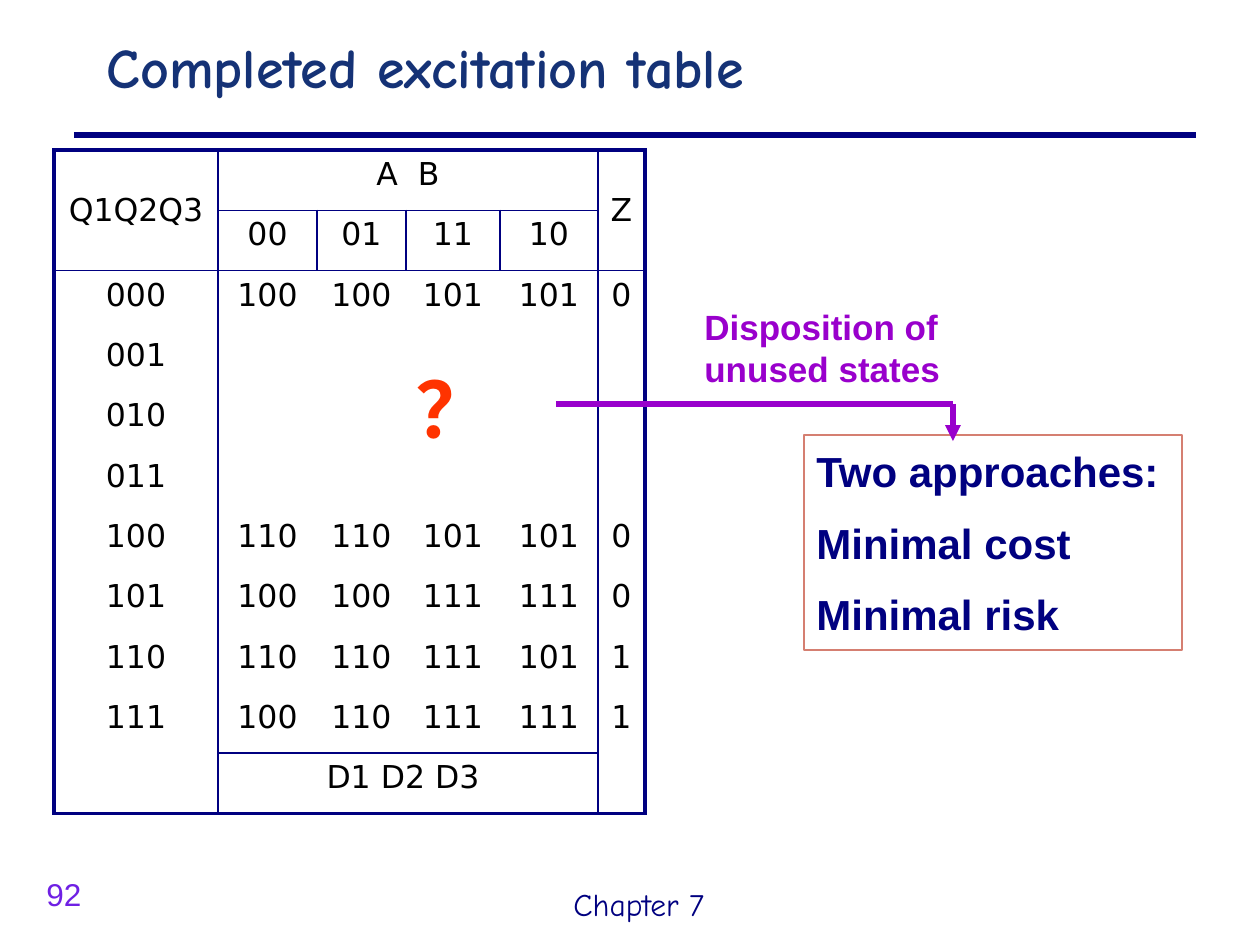
from dataclasses import dataclass

from lxml.etree import SubElement
from pptx import Presentation
from pptx.dml.color import RGBColor
from pptx.enum.shapes import MSO_CONNECTOR, MSO_SHAPE
from pptx.enum.text import MSO_ANCHOR, PP_ALIGN
from pptx.oxml import parse_xml
from pptx.oxml.ns import nsdecls, qn
from pptx.util import Inches, Pt

SCALE = Inches(10) / 1260


def px(length):
    return round(length * SCALE)


@dataclass(frozen=True)
class TextStyle:
    font: str
    size: int
    color: str
    bold: bool = False


@dataclass(frozen=True)
class Theme:
    navy: str = "000080"
    violet: str = "9900CC"
    box_line: str = "D57F71"
    thin: float = 1
    frame: float = 2.25
    thick: float = 3
    title: TextStyle = TextStyle("Comic Neue", 32, "153276", True)
    footer: TextStyle = TextStyle("Comic Neue", 18, "000080")
    number: TextStyle = TextStyle("Arial", 18, "6F20E4")
    cell: TextStyle = TextStyle("DejaVu Sans", 18, "000000")
    question: TextStyle = TextStyle("Times New Roman", 44, "FF3300", True)
    approaches: TextStyle = TextStyle("Arial", 24, "000080", True)
    note: TextStyle = TextStyle("Arial", 20, "9900CC", True)


class SlideBuilder:
    def __init__(self, slide, theme):
        self.slide = slide
        self.theme = theme

    def fill_text(self, frame, lines, style, align=PP_ALIGN.LEFT, anchor=MSO_ANCHOR.TOP, wrap=True):
        frame.word_wrap = wrap
        frame.vertical_anchor = anchor
        for index, line in enumerate(lines):
            paragraph = frame.add_paragraph() if index else frame.paragraphs[0]
            paragraph.alignment = align
            if index:
                paragraph.space_before = Pt(style.size / 2)
            self.add_run(paragraph, line, style)

    def add_run(self, paragraph, text, style):
        run = paragraph.add_run()
        run.text = text
        run.font.name = style.font
        run.font.size = Pt(style.size)
        run.font.bold = style.bold
        run.font.color.rgb = RGBColor.from_string(style.color)

    def title(self, text, *box):
        shape = self.slide.shapes.title
        shape.left, shape.top, shape.width, shape.height = map(px, box)
        self.fill_text(shape.text_frame, [text], self.theme.title)

    def text(self, text, style, *box, **layout):
        shape = self.slide.shapes.add_textbox(*map(px, box))
        self.fill_text(shape.text_frame, [text], style, **layout)

    def outlined_box(self, lines, style, *box):
        shape = self.slide.shapes.add_shape(MSO_SHAPE.RECTANGLE, *map(px, box))
        shape.shadow.inherit = False
        shape.fill.background()
        shape.line.color.rgb = RGBColor.from_string(self.theme.box_line)
        shape.line.width = Pt(0.75)
        self.fill_text(shape.text_frame, lines, style, anchor=MSO_ANCHOR.MIDDLE)

    def line(self, shapes, start, end, color, arrow=False):
        connector = shapes.add_connector(MSO_CONNECTOR.STRAIGHT, *map(px, start + end))
        connector.line.color.rgb = RGBColor.from_string(color)
        connector.line.width = Pt(self.theme.thick)
        properties = connector._element.spPr
        if arrow:
            SubElement(properties.find(qn("a:ln")), qn("a:tailEnd")).set("type", "triangle")
        SubElement(properties, qn("a:effectLst"))

    def bent_arrow(self, points, color):
        group = self.slide.shapes.add_group_shape()
        for start, end in zip(points, points[1:]):
            self.line(group.shapes, start, end, color, arrow=end == points[-1])

    def excitation_table(self, rows, merges, widths, left, top, height):
        count = len(rows)
        shape = self.slide.shapes.add_table(
            count, len(widths), px(left), px(top), px(sum(widths)), px(height)
        )
        table = shape.table
        table.first_row = table.horz_banding = False
        for column, width in zip(table.columns, widths):
            column.width = px(width)
        for row in table.rows:
            row.height = px(height / count)
        for first, last in merges:
            table.cell(*first).merge(table.cell(*last))
        for row, values in enumerate(rows):
            for column, value in enumerate(values):
                cell = table.cell(row, column)
                cell.fill.background()
                self.borders(cell, row, column, count, len(widths))
                if value:
                    tall = cell.is_merge_origin and cell.span_height > 1
                    self.fill_text(cell.text_frame, [value], self.theme.cell, PP_ALIGN.CENTER)
                    cell.vertical_anchor = MSO_ANCHOR.MIDDLE if tall else MSO_ANCHOR.TOP

    def borders(self, cell, row, column, row_count, column_count):
        def horizontal(edge):
            if edge in (0, row_count):
                return self.theme.frame
            inner = 0 < column < column_count - 1
            return self.theme.thin if edge == 2 or inner and edge in (1, row_count - 1) else 0

        def vertical(edge):
            if edge in (0, column_count):
                return self.theme.frame
            return self.theme.thin if edge in (1, column_count - 1) or row == 1 else 0

        sides = {
            "lnL": vertical(column),
            "lnR": vertical(column + 1),
            "lnT": horizontal(row),
            "lnB": horizontal(row + 1),
        }
        properties = cell._tc.get_or_add_tcPr()
        for index, (side, width) in enumerate(sides.items()):
            paint = "<a:noFill/>"
            if width:
                paint = f'<a:solidFill><a:srgbClr val="{self.theme.navy}"/></a:solidFill>'
            border = f'<a:{side} {nsdecls("a")} w="{Pt(width)}">{paint}</a:{side}>'
            properties.insert(index, parse_xml(border))


ROWS = [
    ["Q1Q2Q3", "A  B", "", "", "", "Z"],
    ["", "00", "01", "11", "10", ""],
    ["000", "100", "100", "101", "101", "0"],
    ["001", "", "", "", "", ""],
    ["010", "", "", "", "", ""],
    ["011", "", "", "", "", ""],
    ["100", "110", "110", "101", "101", "0"],
    ["101", "100", "100", "111", "111", "0"],
    ["110", "110", "110", "111", "101", "1"],
    ["111", "100", "110", "111", "111", "1"],
    ["", "D1 D2 D3 ", "", "", "", ""],
]
MERGES = [((0, 0), (1, 0)), ((0, 1), (0, 4)), ((0, 5), (1, 5)), ((10, 1), (10, 4))]
COLUMN_WIDTHS = [164, 99, 89, 94, 98, 47]


def main():
    presentation = Presentation()
    presentation.slide_width = px(1260)
    presentation.slide_height = px(945)
    theme = Theme()
    slide = presentation.slides.add_slide(presentation.slide_layouts[5])
    builder = SlideBuilder(slide, theme)

    builder.line(slide.shapes, (74, 135), (1196, 135), theme.navy)
    builder.text("Chapter 7", theme.footer, 561, 879, 179, 50)
    builder.text("92", theme.number, 34, 869, 89, 50)
    builder.excitation_table(ROWS, MERGES, COLUMN_WIDTHS, 54, 150, 664)
    builder.text("？", theme.question, 276, 349, 357, 118,
                 align=PP_ALIGN.CENTER, anchor=MSO_ANCHOR.MIDDLE, wrap=False)
    builder.title("Completed excitation table", 94, 26, 1101, 100)
    builder.outlined_box(["Two approaches:", "Minimal cost", "Minimal risk"],
                         theme.approaches, 804, 435, 378, 215)
    builder.text("Disposition of unused states", theme.note, 692, 299, 267, 97)
    builder.bent_arrow([(556, 404), (953, 404), (953, 441)], theme.violet)

    presentation.save("out.pptx")


if __name__ == "__main__":
    main()
